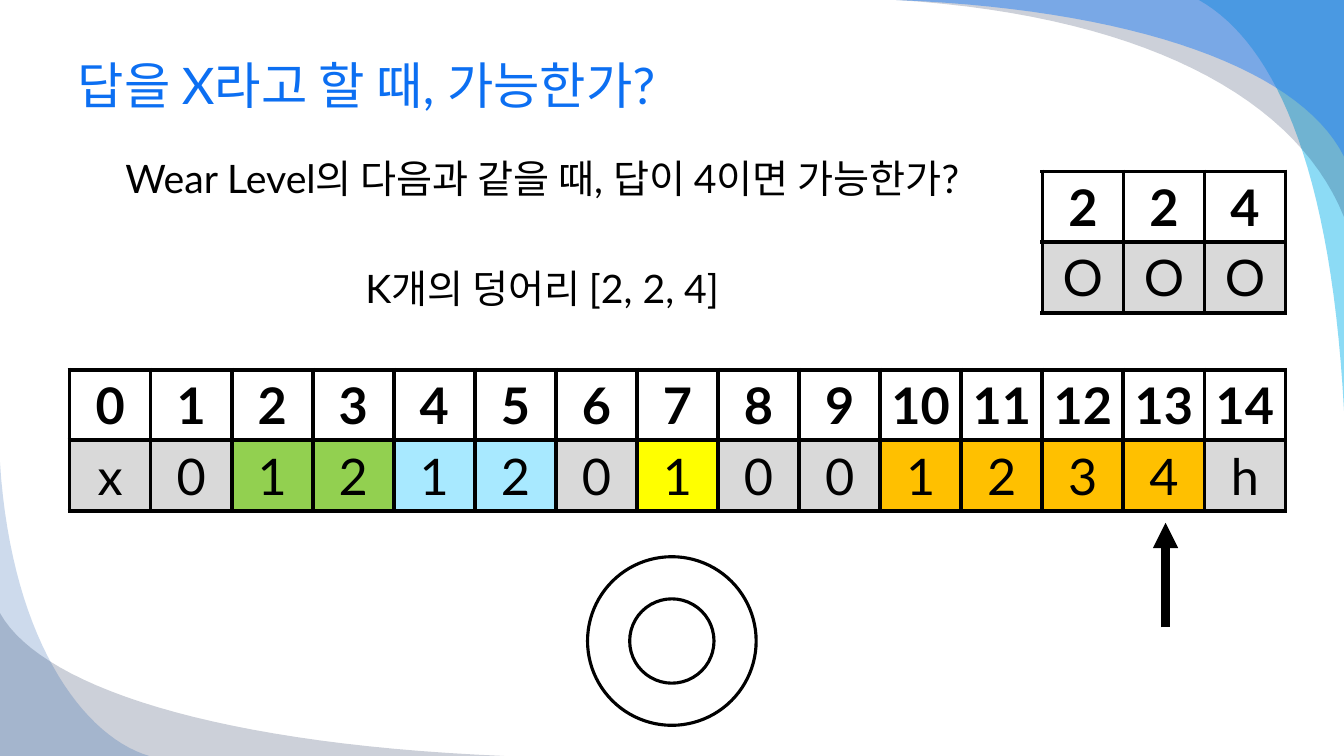
from dataclasses import dataclass

from lxml import etree
from pptx import Presentation
from pptx import util as u
from pptx.dml.color import RGBColor
from pptx.enum import shapes, text
from pptx.oxml.ns import qn


@dataclass(frozen=True)
class Theme:
    font: str = "Lato"
    title_size: int = 36
    body_size: int = 28
    cell_size: int = 36
    title: str = "0C6FF2"
    ink: str = "000000"
    paper: str = "FFFFFF"
    idle: str = "D9D9D9"
    green: str = "92D050"
    sky: str = "A8E9FF"
    yellow: str = "FFFF00"
    orange: str = "FFC000"
    cyan: str = "00B1E9"
    navy: str = "021741"
    blue: str = "247FF4"
    deep: str = "084AA1"


THEME = Theme()
WIDTH, HEIGHT = 13.33, 7.5
# One grid cell is one cell of the tables; columns count from the main table's left
LEFT, COL, ROW = 0.69, 12.06 / 15, 0.7

# Corner, four Bezier points (percent of the slide), colour, opacity
SWOOSHES = [
    ((100, 0), [(89.2, 0), (94.5, 5.3), (99, 20.7), (100, 54.4)], THEME.cyan, 45),
    ((100, 0), [(66.7, 0), (84.8, 2), (96.4, 12.7), (100, 28.7)], THEME.navy, 20),
    ((100, 0), [(66.7, 0), (84.8, 1.3), (96.8, 9.3), (100, 20.7)], THEME.blue, 49),
    ((0, 100), [(0, 81.1), (3, 90.7), (15.8, 98.4), (37.5, 100)], THEME.navy, 20),
    ((0, 100), [(11.1, 100), (6, 97.3), (0.8, 84), (0, 61.1)], THEME.deep, 20),
]


def at(col, row):
    return u.Inches(LEFT + col * COL), u.Inches(row * ROW)


def area(col, row, cols, rows):
    return *at(col, row), u.Inches(cols * COL), u.Inches(rows * ROW)


def share(point):
    return u.Inches(WIDTH * point[0] / 100), u.Inches(HEIGHT * point[1] / 100)


def assign(target, values):
    for name, value in values.items():
        setattr(target, name, value)


def paint(fill, color):
    fill.solid()
    fill.fore_color.rgb = RGBColor.from_string(color)


def write(para, words, size, color, bold=False, **layout):
    span = para.add_run()
    span.text = words
    assign(span.font, {"name": THEME.font, "size": u.Pt(size), "bold": bold})
    span.font.color.rgb = RGBColor.from_string(color)
    assign(para, layout)


def add_text(page, place, lines, size, color, anchor, **layout):
    """Put lines, each with its space before in points, in one box."""
    frame = page.shapes.add_textbox(*place).text_frame
    assign(frame, {"word_wrap": True, "vertical_anchor": anchor})
    for index, (words, gap) in enumerate(lines):
        para = frame.add_paragraph() if index else frame.paragraphs[0]
        write(para, words, size, color, space_before=u.Pt(gap), **layout)


def bezier(points, steps=30):
    for step in range(steps + 1):
        t = step / steps
        weights = ((1 - t) ** 3, 3 * t * (1 - t) ** 2, 3 * t * t * (1 - t), t ** 3)
        yield tuple(sum(w * p[axis] for w, p in zip(weights, points)) for axis in (0, 1))


def add_swoosh(page, corner, points, color, opacity):
    builder = page.shapes.build_freeform(*share(corner))
    builder.add_line_segments([share(point) for point in bezier(points)], close=True)
    swoosh = builder.convert_to_shape()
    swoosh.shadow.inherit = False
    swoosh.line.fill.background()
    paint(swoosh.fill, color)
    tint = swoosh.fill._xPr.find(qn("a:solidFill"))[0]
    etree.SubElement(tint, qn("a:alpha"), val=str(opacity * 1000))


def add_borders(cell, color, points):
    props = cell._tc.get_or_add_tcPr()
    for index, side in enumerate(("lnL", "lnR", "lnT", "lnB")):
        edge = etree.Element(qn(f"a:{side}"), w=str(u.Pt(points)))
        fill = etree.SubElement(edge, qn("a:solidFill"))
        etree.SubElement(fill, qn("a:srgbClr"), val=color)
        props.insert(index, edge)


def add_cells(page, col, row, heads, values, colors):
    """Draw bold heads over coloured values, one grid cell each."""
    place = area(col, row, len(heads), 2)
    table = page.shapes.add_table(2, len(heads), *place).table
    assign(table, {"first_row": False, "horz_banding": False})
    rows = ((heads, [THEME.paper] * len(heads), True), (values, colors, False))
    for r, (words, fills, bold) in enumerate(rows):
        for c, (word, color) in enumerate(zip(words, fills)):
            cell = table.cell(r, c)
            cell.vertical_anchor = text.MSO_ANCHOR.MIDDLE
            paint(cell.fill, color)
            add_borders(cell, THEME.ink, 3)
            write(cell.text_frame.paragraphs[0], str(word), THEME.cell_size,
                  THEME.ink, bold, alignment=text.PP_ALIGN.CENTER)


def add_arrow(page, start, end):
    arrow = page.shapes.add_connector(shapes.MSO_CONNECTOR.STRAIGHT, *at(*start), *at(*end))
    arrow.line.width = u.Pt(6)
    paint(arrow.line.fill, THEME.ink)
    etree.SubElement(arrow.line._get_or_add_ln(), qn("a:tailEnd"), type="triangle")
    etree.SubElement(arrow._element.spPr, qn("a:effectLst"))


def add_ring(page, place):
    ring = page.shapes.add_shape(shapes.MSO_SHAPE.DONUT, *place)
    ring.shadow.inherit = False
    paint(ring.fill, THEME.paper)
    paint(ring.line.fill, THEME.ink)
    ring.line.width = u.Pt(2.25)


def main():
    deck = Presentation()
    assign(deck, {"slide_width": u.Inches(WIDTH), "slide_height": u.Inches(HEIGHT)})
    page = deck.slides.add_slide(deck.slide_layouts[6])

    # Corner decoration
    for swoosh in SWOOSHES:
        add_swoosh(page, *swoosh)

    # Title and question
    add_text(page, area(-0.02, 0.47, 14.93, 1.44), [("답을 X라고 할 때, 가능한가?", 0)],
             THEME.title_size, THEME.title, text.MSO_ANCHOR.MIDDLE)
    question = [("Wear Level의 다음과 같을 때, 답이 4이면 가능한가?", 0),
                ("K개의 덩어리 [2, 2, 4]", 45)]
    add_text(page, area(-0.02, 2.11, 11.7, 2.6), question, THEME.body_size, THEME.ink,
             text.MSO_ANCHOR.TOP, alignment=text.PP_ALIGN.CENTER)

    # Wear levels, coloured by run, and the chunks to place
    runs = [(THEME.idle, 2), (THEME.green, 2), (THEME.sky, 2), (THEME.idle, 1),
            (THEME.yellow, 1), (THEME.idle, 2), (THEME.orange, 4), (THEME.idle, 1)]
    colors = [color for color, count in runs for _ in range(count)]
    add_cells(page, 0, 5.24, range(15), "x0121201001234h", colors)
    add_cells(page, 12, 2.43, "224", "OOO", [THEME.idle] * 3)

    # Pointer and ring
    add_arrow(page, (13.52, 8.89), (13.52, 7.41))
    add_ring(page, area(6.39, 7.89, 2.08, 2.39))

    deck.save("out.pptx")


if __name__ == "__main__":
    main()
